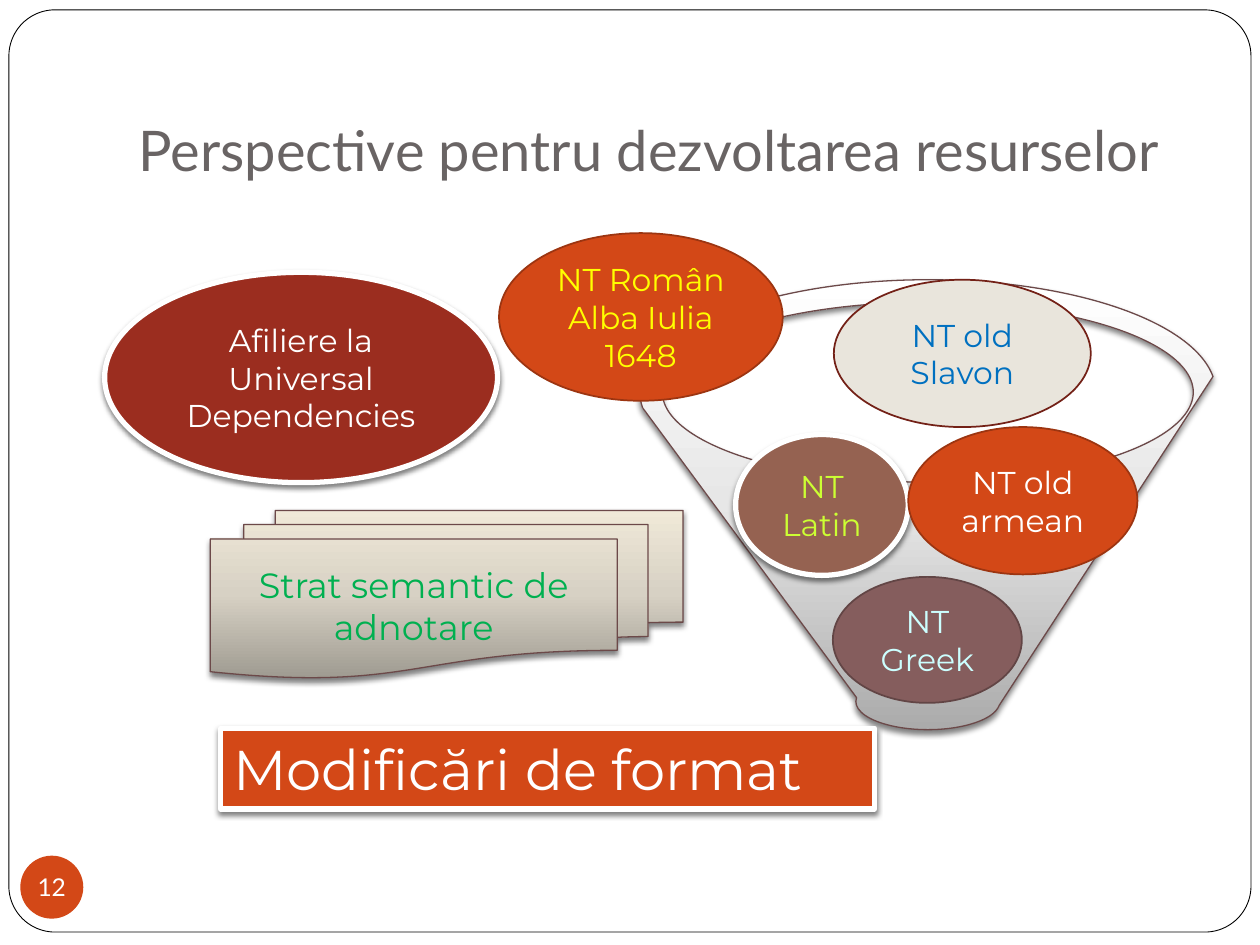
import copy

import pptx
import pptx.dml.color
import pptx.enum.shapes
import pptx.enum.text
import pptx.oxml
import pptx.oxml.ns
import pptx.util

Cm = pptx.util.Cm
Pt = pptx.util.Pt
SHAPE = pptx.enum.shapes.MSO_SHAPE
ALIGN = pptx.enum.text.PP_ALIGN
ANCHOR = pptx.enum.text.MSO_ANCHOR

COLORS = {
    "white": "FFFFFF", "black": "000000", "title": "696464",
    "orange": "D34817", "orange line": "9C3511", "red": "9B2D1F",
    "sand": "E9E5DC", "red line": "732117", "brown": "956251",
    "mauve": "855D5D", "mauve line": "624545", "outline": "6C4949",
    "yellow": "FFFF00", "blue": "0070C0", "lime": "CCFF33",
    "ice": "CCFFFF", "green": "00B050",
    "gray dark": "ABABAB", "gray mid": "E7E7E7",
    "paper dark": "9F9B91", "paper mid": "D7D1C4", "paper light": "F0E9D8",
}
SHADOW = (
    '<a:outerShdw %s blurRad="38100" dist="25400" dir="5400000" rotWithShape="0">'
    '<a:srgbClr val="%s"><a:alpha val="50000"/></a:srgbClr></a:outerShdw>'
    % (pptx.oxml.ns.nsdecls("a"), COLORS["black"])
)


def rgb(name):
    return pptx.dml.color.RGBColor.from_string(COLORS[name])


def add_shape(kind, box, fill, line, width, shadow=False, text="", size=18,
              color="white", font="Montserrat", align=ALIGN.CENTER):
    shape = slide.shapes.add_shape(kind, *[Cm(length) for length in box])
    if isinstance(fill, str):
        shape.fill.solid()
        shape.fill.fore_color.rgb = rgb(fill)
    else:
        shape.fill.gradient()
        shape.fill.gradient_angle = 90
        stops = shape._element.spPr.find(".//" + pptx.oxml.ns.qn("a:gsLst"))
        stops.insert(1, copy.deepcopy(stops[0]))
        for stop, name, position in zip(shape.fill.gradient_stops, fill, (0, 0.5, 1)):
            stop.color.rgb = rgb(name)
            stop.position = position
    if line:
        shape.line.color.rgb = rgb(line)
        shape.line.width = Pt(width)
    else:
        shape.line.fill.background()
    shape.shadow.inherit = False
    if shadow:
        effects = shape._element.spPr.find(pptx.oxml.ns.qn("a:effectLst"))
        effects.append(pptx.oxml.parse_xml(SHADOW))
    if text:
        shape.text_frame.text = text
        shape.text_frame.vertical_anchor = ANCHOR.MIDDLE
        for paragraph in shape.text_frame.paragraphs:
            paragraph.alignment = align
            paragraph.font.name = font
            paragraph.font.size = Pt(size)
            paragraph.font.color.rgb = rgb(color)
    return shape


presentation = pptx.Presentation()
presentation.slide_width = Cm(25.4)
presentation.slide_height = Cm(19.05)
slide = presentation.slides.add_slide(presentation.slide_layouts[5])

frame = add_shape(SHAPE.ROUNDED_RECTANGLE, (0.18, 0.2, 25.04, 18.59), "white", "black", 0.5)
frame.adjustments[0] = 0.05
slide.shapes._spTree.insert(2, frame._element)

title = slide.shapes.title
title.left, title.top, title.width, title.height = Cm(2.54), Cm(0.76), Cm(21.59), Cm(3.18)
title.text_frame.text = "Perspective pentru dezvoltarea resurselor"
title.text_frame.vertical_anchor = ANCHOR.BOTTOM
title.text_frame.margin_bottom = Cm(0.25)
paragraph = title.text_frame.paragraphs[0]
paragraph.alignment = ALIGN.LEFT
paragraph.font.name = "Lato"
paragraph.font.size = Pt(32)
paragraph.font.color.rgb = rgb("title")

number = add_shape(SHAPE.OVAL, (0.41, 17.25, 1.27, 1.27), "orange", None, 0,
                   text="12", size=14, font="Lato")
number_text = number.text_frame
number_text.word_wrap = False
number_text.margin_left = number_text.margin_right = 0
number_text.margin_top = number_text.margin_bottom = 0

add_shape(SHAPE.OVAL, (2.11, 5.49, 7.92, 4.24), "red", "white", 3, True,
          "Afiliere la Universal Dependencies")
add_shape(SHAPE.FUNNEL, (12.9, 5.64, 11.61, 9.07), ("gray dark", "gray mid", "white"),
          "outline", 0.75, True)

testaments = [
    ("NT Român\nAlba Iulia 1648", (10.06, 4.7, 5.72, 3.38), "orange", "orange line", 1, "yellow"),
    ("NT old Slavon", (16.81, 5.64, 5.18, 2.97), "sand", "red line", 1, "blue"),
    ("NT Latin", (14.83, 8.76, 3.48, 2.84), "brown", "white", 3, "lime"),
    ("NT Greek", (16.79, 11.63, 3.81, 2.54), "mauve", "mauve line", 1, "ice"),
    ("NT old armean", (18.31, 8.61, 4.62, 2.97), "orange", "orange line", 1, "white"),
]
for text, box, fill, line, width, color in testaments:
    add_shape(SHAPE.OVAL, box, fill, line, width, line == "white", text, color=color)

add_shape(SHAPE.FLOWCHART_MULTIDOCUMENT, (4.24, 10.29, 9.53, 3.38),
          ("paper dark", "paper mid", "paper light"), "outline", 0.75, True,
          "Strat semantic de adnotare", 20, "green")

banner = add_shape(SHAPE.RECTANGLE, (4.45, 14.68, 13.18, 1.63), "orange", "white", 3, True,
                   "Modificări de format", 32, align=ALIGN.LEFT)
banner.text_frame.vertical_anchor = ANCHOR.TOP
banner.text_frame.auto_size = pptx.enum.text.MSO_AUTO_SIZE.SHAPE_TO_FIT_TEXT

presentation.save("out.pptx")
